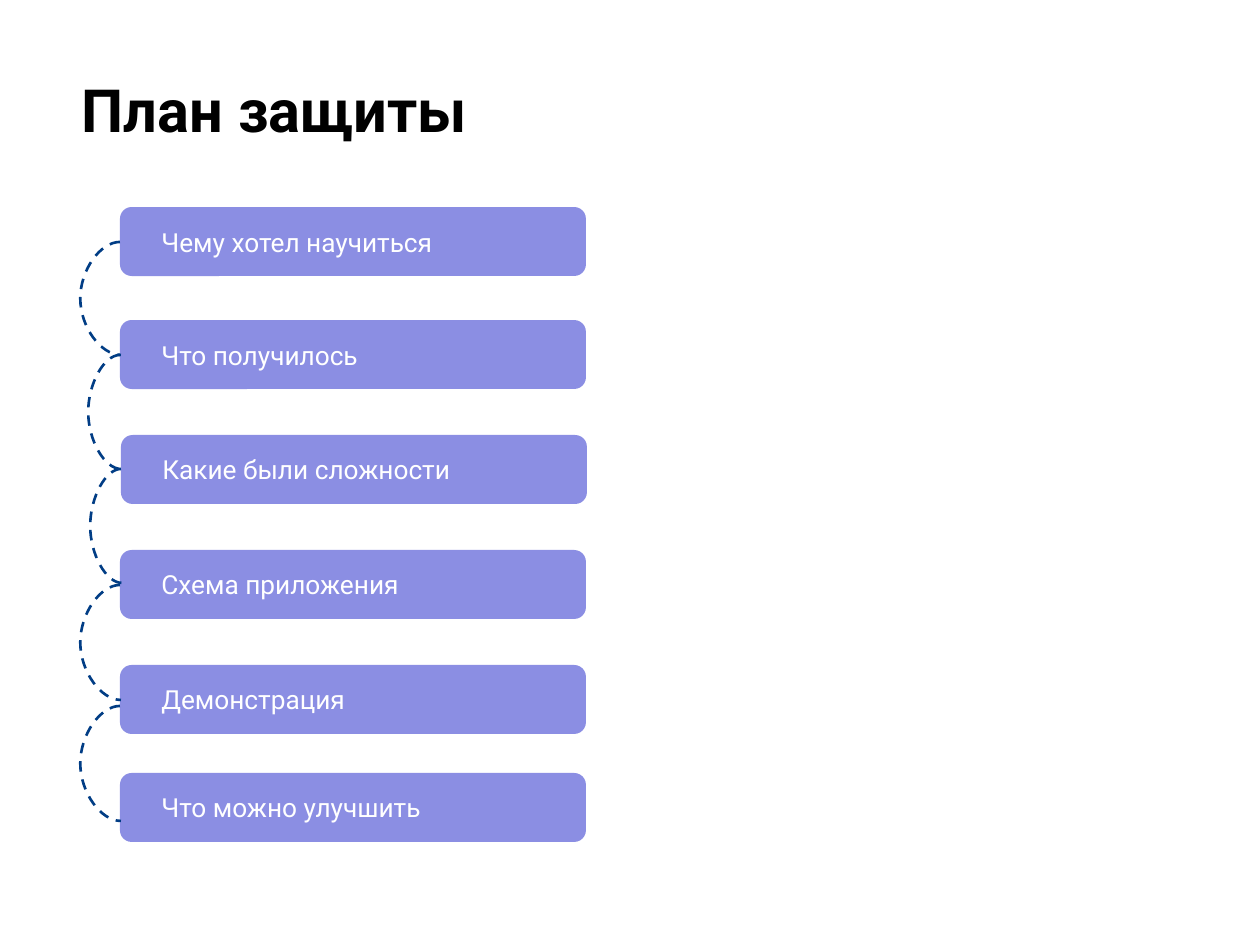
"""Build the defence plan slide: a title and six linked steps."""
from lxml.etree import SubElement
from pptx import Presentation
from pptx.dml.color import RGBColor
from pptx.enum.dml import MSO_LINE
from pptx.enum.shapes import MSO_CONNECTOR, MSO_SHAPE
from pptx.enum.text import MSO_ANCHOR, PP_ALIGN
from pptx.oxml.ns import qn
from pptx.util import Pt

PX = 914400 // 126
HUES = {"ink": "000000", "box": "8B8EE3", "text": "FFFFFF", "link": "013D85"}
TITLE = "План защиты"
STEPS = [
    ("Чему хотел научиться", 120, 207),
    ("Что получилось", 120, 320),
    ("Какие были сложности", 121, 435),
    ("Схема приложения", 120, 550),
    ("Демонстрация", 120, 665),
    ("Что можно улучшить", 120, 773),
]
LINKS = [
    (120, 242, 355, 40),
    (120, 355, 469, 32),
    (121, 469, 583, 31),
    (120, 585, 700, 40),
    (120, 706, 821, 40),
]
WIDE, HIGH = 466, 69
HEAD = {"size": Pt(34), "bold": True}
BODY = {"size": Pt(15), "bold": False}


def hue(name):
    return RGBColor.from_string(HUES[name])


def place(*nums):
    return [num * PX for num in nums]


def write(shape, text, look, tint, side, anchor):
    frame = shape.text_frame
    form = {"word_wrap": True, "vertical_anchor": anchor,
            "margin_left": side * PX, "margin_right": side * PX,
            "margin_top": 13 * PX, "margin_bottom": 13 * PX}
    for key, val in form.items():
        setattr(frame, key, val)
    para = frame.paragraphs[0]
    para.alignment = PP_ALIGN.LEFT
    run = para.add_run()
    run.text = text
    for key, val in {"name": "Roboto", **look}.items():
        setattr(run.font, key, val)
    run.font.color.rgb = hue(tint)


def add_step(slide, text, left, top):
    box = slide.shapes.add_shape(MSO_SHAPE.ROUNDED_RECTANGLE,
                                 *place(left, top, WIDE, HIGH))
    box.shadow.inherit = False
    box.adjustments[0] = 0.17
    box.fill.solid()
    box.fill.fore_color.rgb = hue("box")
    box.line.fill.background()
    write(box, text, BODY, "text", 38, MSO_ANCHOR.MIDDLE)


def add_link(slide, left, top, end, bulge):
    link = slide.shapes.add_connector(MSO_CONNECTOR.CURVE,
                                      *place(left, top, left + 1, end))
    for key, val in {"width": Pt(1.5), "dash_style": MSO_LINE.DASH}.items():
        setattr(link.line, key, val)
    link.line.color.rgb = hue("link")
    props = link._element.spPr
    SubElement(props, qn("a:effectLst"))
    guides = props.find(qn("a:prstGeom")).get_or_add_avLst()
    SubElement(guides, qn("a:gd"), name="adj1", fmla=f"val {-bulge * 100000}")


def main():
    deck = Presentation()
    deck.slide_width, deck.slide_height = place(1260, 945)
    slide = deck.slides.add_slide(deck.slide_layouts[6])
    title = slide.shapes.add_textbox(*place(69, 60, 1174, 103))
    write(title, TITLE, HEAD, "ink", 13, MSO_ANCHOR.TOP)
    for step in STEPS:
        add_step(slide, *step)
    for link in LINKS:
        add_link(slide, *link)
    deck.save("out.pptx")


if __name__ == "__main__":
    main()
